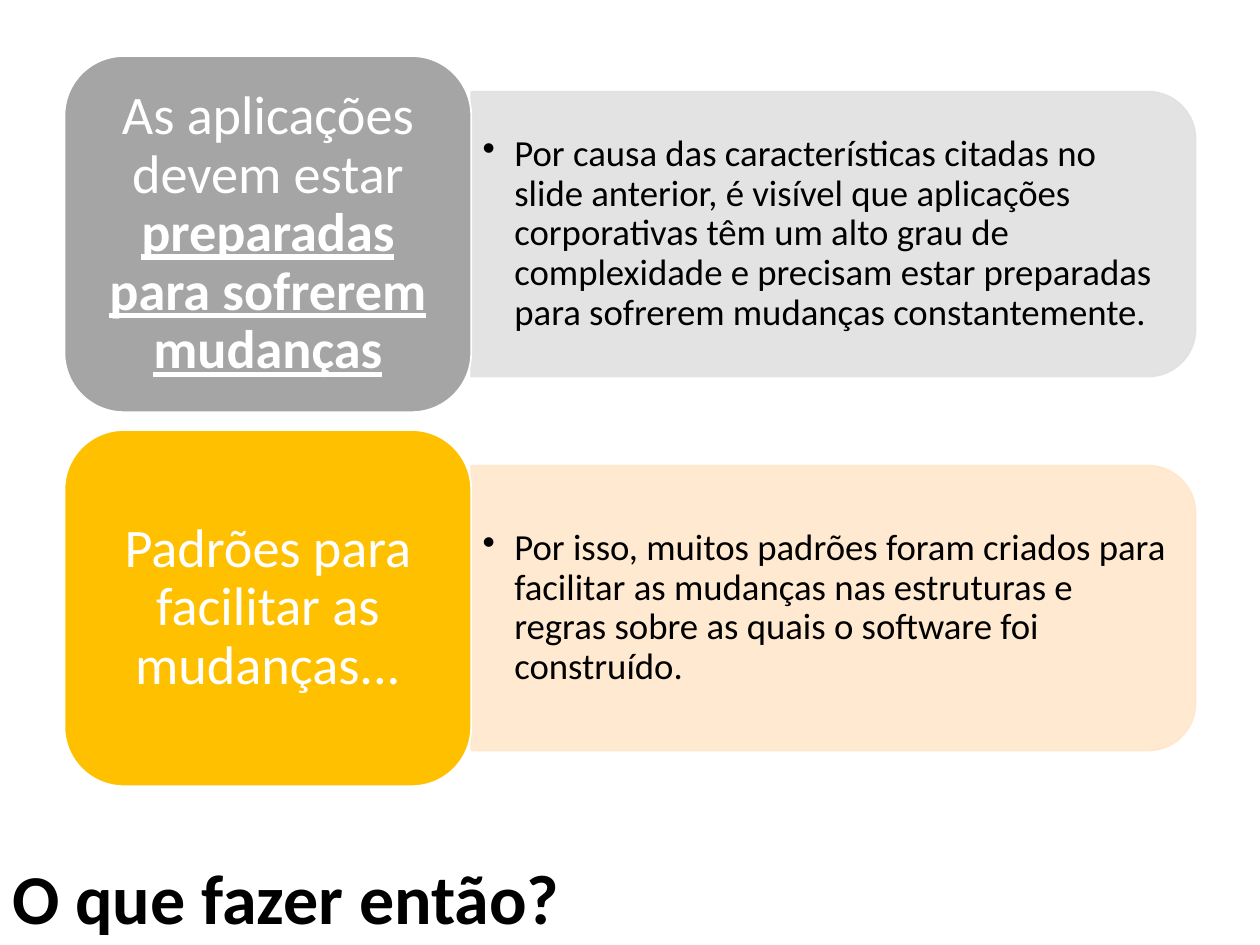
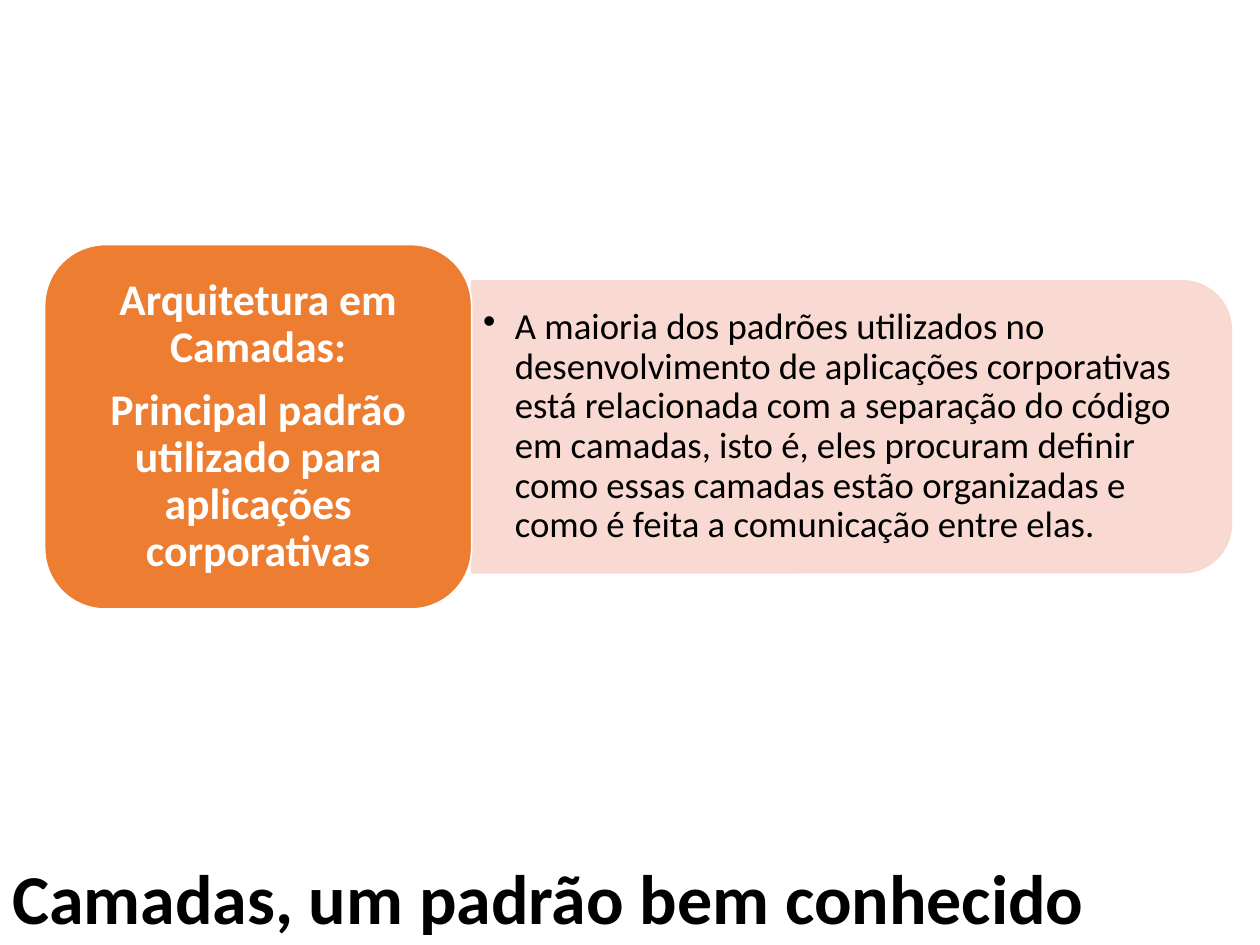
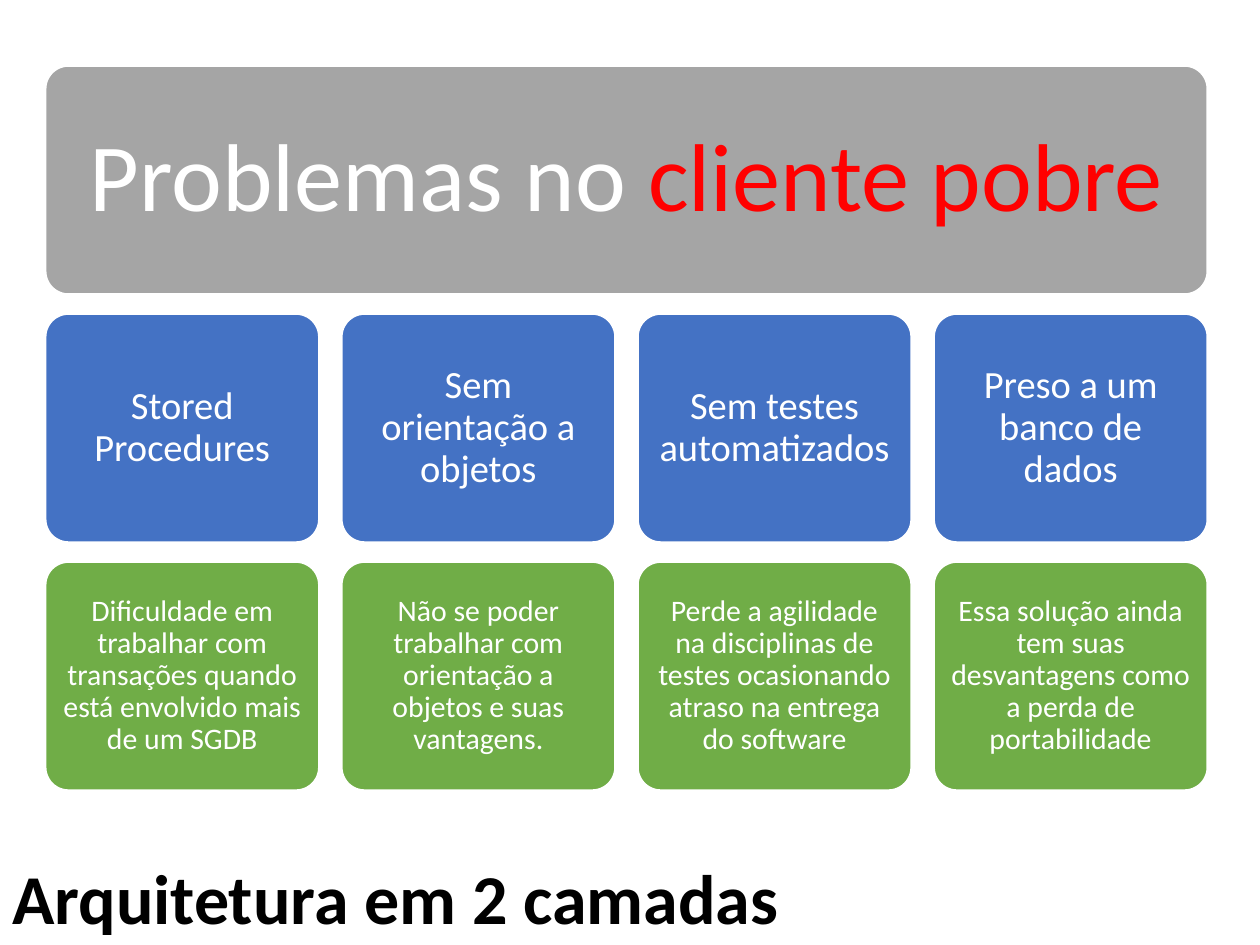
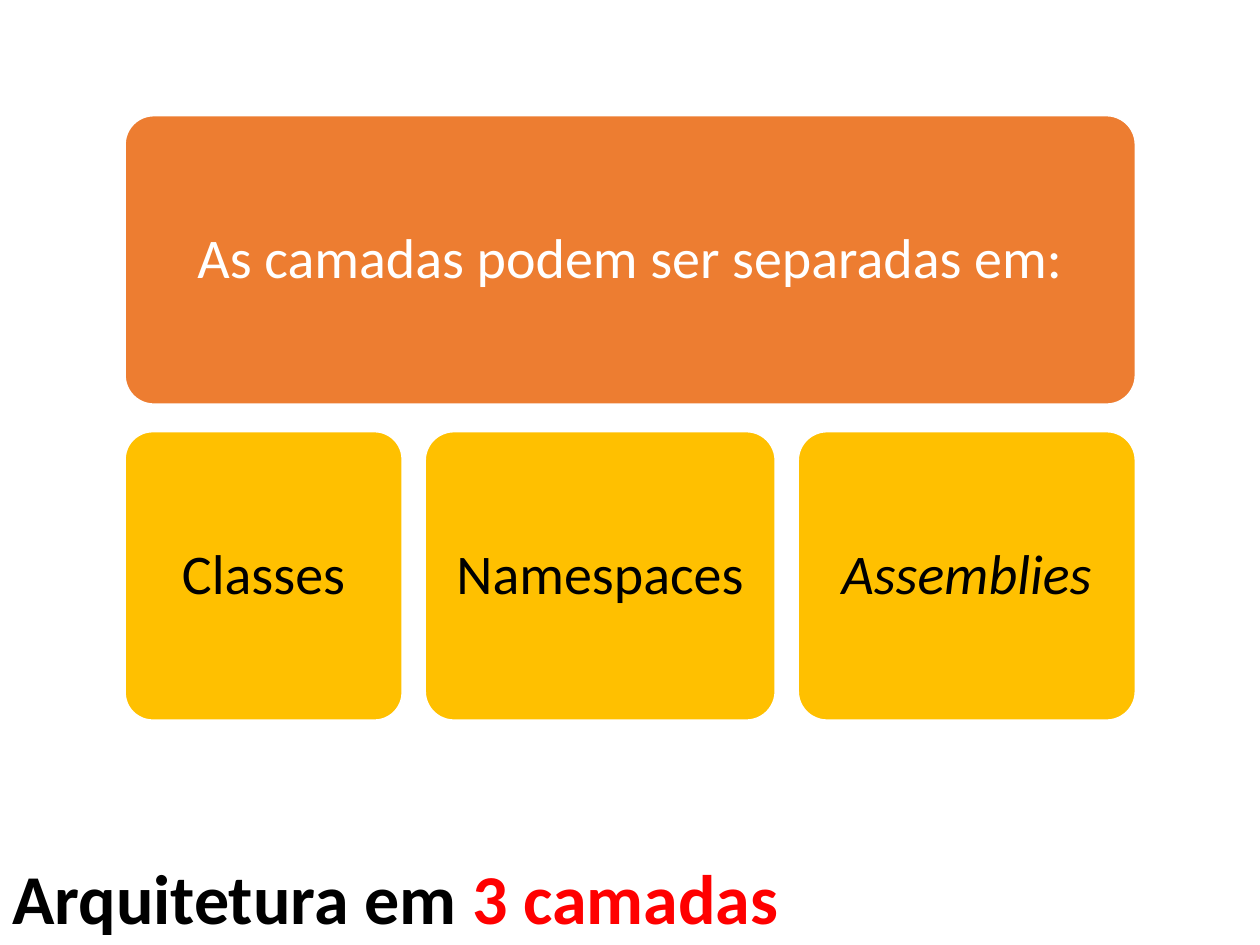
from lxml.etree import SubElement
from pptx import Presentation
from pptx.dml.color import RGBColor
from pptx.enum.shapes import MSO_SHAPE
from pptx.enum.text import MSO_ANCHOR, MSO_AUTO_SIZE, PP_ALIGN
from pptx.oxml.ns import qn
from pptx.util import Cm, Pt

BLACK = RGBColor(0x00, 0x00, 0x00)
WHITE = RGBColor(0xFF, 0xFF, 0xFF)
RED = RGBColor(0xFF, 0x00, 0x00)
GRAY = RGBColor(0xA5, 0xA5, 0xA5)
LIGHT_GRAY = RGBColor(0xE1, 0xE1, 0xE1)
GOLD = RGBColor(0xFF, 0xC0, 0x00)
LIGHT_GOLD = RGBColor(0xFF, 0xE7, 0xCB)
ORANGE = RGBColor(0xED, 0x7D, 0x31)
LIGHT_ORANGE = RGBColor(0xF8, 0xD7, 0xCE)
BLUE = RGBColor(0x44, 0x72, 0xC4)
GREEN = RGBColor(0x70, 0xAD, 0x47)

FONT = "Calibri"
GAP = 0.46
BAND_SHARE = 0.8
BAND_ALPHA = 90000
EMPHASIS = {"bold": True, "underline": True}


class SlideBuilder:
    def __init__(self):
        self.deck = Presentation()
        self.deck.slide_width = Cm(25.4)
        self.deck.slide_height = Cm(19.05)
        self.page = None

    def add_page(self, *title_spans):
        self.page = self.deck.slides.add_slide(self.deck.slide_layouts[6])
        box = self.page.shapes.add_textbox(Cm(0), Cm(17.1), Cm(24.33), Cm(1.95))
        box.text_frame.word_wrap = True
        box.text_frame.auto_size = MSO_AUTO_SIZE.SHAPE_TO_FIT_TEXT
        self.add_spans(box.text_frame.paragraphs[0], title_spans, 40, BLACK, {"bold": True})

    def add_spans(self, para, spans, size, color, shared=None):
        for text, changes in spans:
            style = {"color": color, "bold": False, "italic": False, "underline": False}
            style.update(shared or {})
            style.update(changes)
            span = para.add_run()
            span.text = text
            span.font.name = FONT
            span.font.size = Pt(size)
            span.font.color.rgb = style["color"]
            span.font.bold = style["bold"]
            span.font.italic = style["italic"]
            span.font.underline = style["underline"]

    def set_frame(self, frame, side, upright):
        frame.word_wrap = True
        frame.vertical_anchor = MSO_ANCHOR.MIDDLE
        frame.margin_left = frame.margin_right = Cm(side)
        frame.margin_top = frame.margin_bottom = Cm(upright)

    def add_shape(self, preset, place, fill, line):
        shape = self.page.shapes.add_shape(preset, *(Cm(length) for length in place))
        shape.shadow.inherit = False
        shape.fill.solid()
        shape.fill.fore_color.rgb = fill
        shape.line.color.rgb = line
        shape.line.width = Pt(1)
        return shape

    def add_card(self, place, fill, paragraphs, size, insets, color=WHITE, rounding=None):
        card = self.add_shape(MSO_SHAPE.ROUNDED_RECTANGLE, place, fill, WHITE)
        if rounding:
            card.adjustments[0] = rounding
        frame = card.text_frame
        self.set_frame(frame, *insets)
        for index, spans in enumerate(paragraphs):
            para = frame.add_paragraph() if index else frame.paragraphs[0]
            para.alignment = PP_ALIGN.CENTER
            para.line_spacing = 0.9
            para.space_after = Pt(size * 0.35)
            self.add_spans(para, spans, size, color)

    def add_tile(self, place, fill, spans, size, inset, color=WHITE):
        self.add_card(place, fill, [spans], size, (inset, inset), color, rounding=0.1)

    def add_band(self, left, middle, width, height, fill, text):
        place = (left + (width - height) / 2, middle - width / 2, height, width)
        band = self.add_shape(MSO_SHAPE.ROUND_2_SAME_RECTANGLE, place, fill, fill)
        band.rotation = 90
        for color in band._element.spPr.iter(qn("a:srgbClr")):
            SubElement(color, qn("a:alpha"), val=str(BAND_ALPHA))

        text_height = height * 0.9
        box = self.page.shapes.add_textbox(
            Cm(left), Cm(middle - text_height / 2), Cm(width - 0.28), Cm(text_height))
        self.set_frame(box.text_frame, 0.23, 0.11)
        para = box.text_frame.paragraphs[0]
        properties = para._p.get_or_add_pPr()
        properties.set("marL", str(Cm(0.64)))
        properties.set("indent", str(-Cm(0.64)))
        SubElement(properties, qn("a:buChar"), char="•")
        para.line_spacing = 0.9
        self.add_spans(para, [(text, {})], 21, BLACK)

    def add_topic(self, place, band_width, fill, band_fill, paragraphs, size, insets, text):
        left, top, width, height = place
        self.add_band(left + width, top + height / 2, band_width,
                      height * BAND_SHARE, band_fill, text)
        self.add_card(place, fill, paragraphs, size, insets)


def build_preparation(builder):
    builder.add_page(("O que fazer então?", {}))
    topics = [
        (GRAY, LIGHT_GRAY,
         [("As aplicações devem estar ", {}), ("preparadas", EMPHASIS), (" ", {}),
          ("para sofrerem mudanças", EMPHASIS)],
         "Por causa das características citadas no slide anterior, é visível que aplicações "
         "corporativas têm um alto grau de complexidade e precisam estar preparadas para "
         "sofrerem mudanças constantemente."),
        (GOLD, LIGHT_GOLD,
         [("Padrões para facilitar as mudanças...", {})],
         "Por isso, muitos padrões foram criados para facilitar as mudanças nas estruturas e "
         "regras sobre as quais o software foi construído."),
    ]
    for row, (fill, band_fill, spans, text) in enumerate(topics):
        place = (1.3, 1.13 + row * 7.54, 8.2, 7.18)
        builder.add_topic(place, 14.6, fill, band_fill, [spans], 31, (0.33, 0.16), text)


def build_layers(builder):
    builder.add_page(("Camadas, um padrão bem conhecido", {}))
    bold = {"bold": True}
    paragraphs = [
        [("Arquitetura em Camadas:", bold)],
        [("Principal padrão utilizado para aplicações corporativas", bold)],
    ]
    builder.add_topic(
        (0.9, 4.93, 8.61, 7.35), 15.31, ORANGE, LIGHT_ORANGE, paragraphs, 25, (0.26, 0.13),
        "A maioria dos padrões utilizados no desenvolvimento de aplicações corporativas está "
        "relacionada com a separação do código em camadas, isto é, eles procuram definir como "
        "essas camadas estão organizadas e como é feita a comunicação entre elas.")


def build_two_layers(builder):
    builder.add_page(("Arquitetura em 2 camadas", {}))
    left, top, width, height, pitch = 0.92, 1.33, 23.42, 4.6, 5.0
    builder.add_tile((left, top, width, height), GRAY,
                     [("Problemas no ", {}), ("cliente pobre", {"color": RED})], 55, 0.58)
    problems = [
        ("Stored Procedures",
         "Dificuldade em trabalhar com transações quando está envolvido mais de um SGDB"),
        ("Sem orientação a objetos",
         "Não se poder trabalhar com orientação a objetos e suas vantagens."),
        ("Sem testes automatizados",
         "Perde a agilidade na disciplinas de testes ocasionando atraso na entrega do software"),
        ("Preso a um banco de dados",
         "Essa solução ainda tem suas desvantagens como a perda de portabilidade"),
    ]
    tile_width = (width - GAP * (len(problems) - 1)) / len(problems)
    for column, (problem, effect) in enumerate(problems):
        x = left + column * (tile_width + GAP)
        builder.add_tile((x, top + pitch, tile_width, height), BLUE,
                         [(problem, {})], 22, 0.23)
        builder.add_tile((x, top + 2 * pitch, tile_width, height), GREEN,
                         [(effect, {})], 17, 0.18)


def build_three_layers(builder):
    builder.add_page(("Arquitetura em ", {}), ("3 camadas", {"color": RED}))
    left, top, height, pitch = 2.52, 2.33, 5.82, 6.37
    builder.add_tile((left, top, 20.37, height), ORANGE,
                     [("As camadas podem ser separadas em:", {})], 32, 0.33)
    units = [("Classes", 5.59, {}), ("Namespaces", 7.06, {}),
             ("Assemblies", 6.8, {"italic": True})]
    for unit, width, style in units:
        builder.add_tile((left, top + pitch, width, height), GOLD,
                         [(unit, style)], 32, 0.33, BLACK)
        left += width + GAP


def main():
    builder = SlideBuilder()
    build_preparation(builder)
    build_layers(builder)
    build_two_layers(builder)
    build_three_layers(builder)
    builder.deck.save("out.pptx")


if __name__ == "__main__":
    main()
